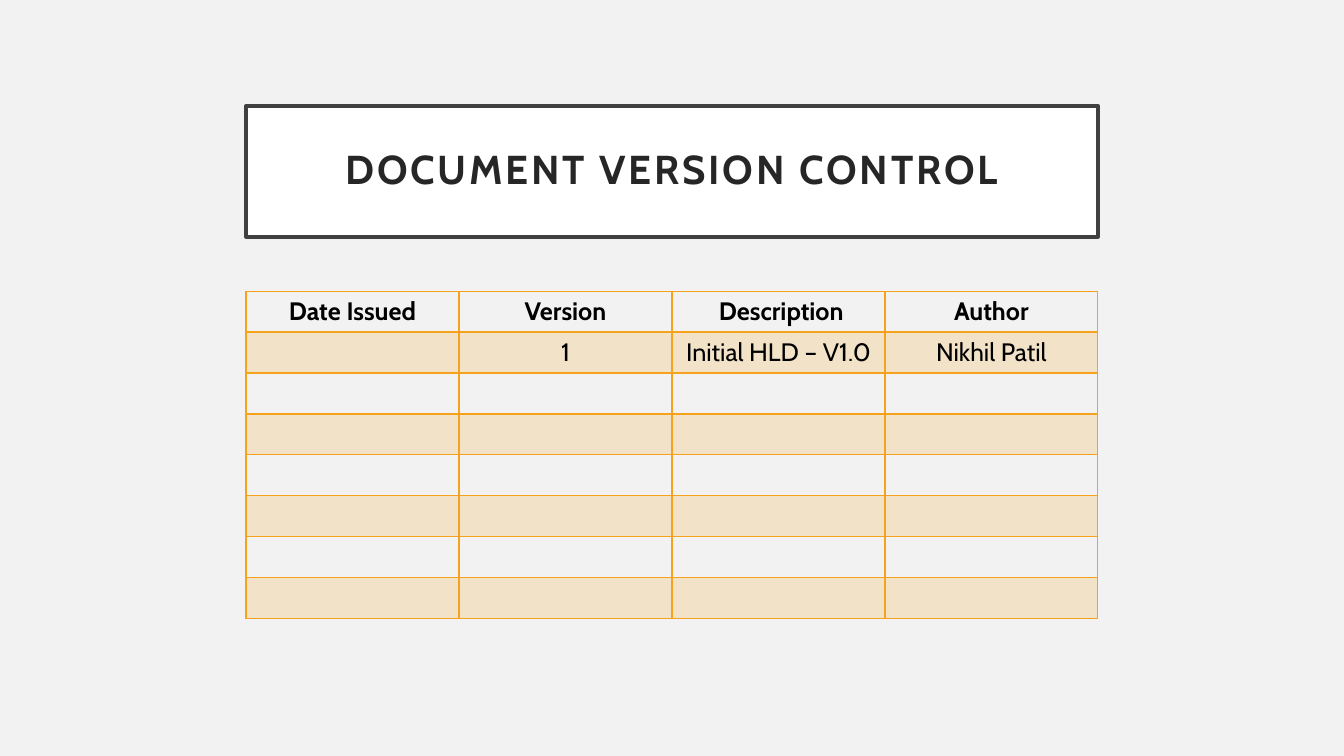
"""Build the document version control slide."""
from lxml.etree import SubElement
from pptx import Presentation
from pptx.dml.color import RGBColor
from pptx.enum.text import MSO_ANCHOR, PP_ALIGN
from pptx.oxml.ns import qn
from pptx.util import Inches, Pt

FONT = "Cabin"
PAPER = RGBColor(0xF2, 0xF2, 0xF2)
WHITE = RGBColor(0xFF, 0xFF, 0xFF)
FRAME = RGBColor(0x40, 0x40, 0x40)
INK = RGBColor(0x26, 0x26, 0x26)
BLACK = RGBColor(0x00, 0x00, 0x00)
AMBER = RGBColor(0xF6, 0xA2, 0x1D)

HEADS = ["Date Issued", "Version", " Description", "Author"]
ENTRY = ["", "1", "Initial HLD – V1.0", "Nikhil Patil"]
ROWS = 8
TEXTS = [HEADS, ENTRY] + [[""] * len(HEADS)] * (ROWS - 2)


def style(para, size, color, bold):
    para.alignment = PP_ALIGN.CENTER
    font = para.font
    font.name, font.size, font.bold = FONT, Pt(size), bold
    font.color.rgb = color


def border(cell, side, width):
    props = cell._tc.get_or_add_tcPr()
    line = SubElement(props, qn(f"a:ln{side}"), w=str(Pt(width)))
    fill = SubElement(line, qn("a:solidFill"))
    SubElement(fill, qn("a:srgbClr"), val=str(AMBER))


deck = Presentation()
deck.slide_width, deck.slide_height = Inches(13.33), Inches(7.5)
slide = deck.slides.add_slide(deck.slide_layouts[5])
slide.background.fill.solid()
slide.background.fill.fore_color.rgb = PAPER

title = slide.shapes.title
title.left, title.top = Inches(2.44), Inches(1.05)
title.width, title.height = Inches(8.45), Inches(1.3)
title.fill.solid()
title.fill.fore_color.rgb = WHITE
title.line.color.rgb = FRAME
title.line.width = Pt(2.5)
frame = title.text_frame
frame.text = "DOCUMENT VERSION CONTROL"
frame.word_wrap = True
frame.vertical_anchor = MSO_ANCHOR.MIDDLE
frame.margin_left = frame.margin_right = Inches(0.2)
frame.margin_top = frame.margin_bottom = Inches(0.2)
head = frame.paragraphs[0]
style(head, 28.8, INK, True)
head.line_spacing = 0.9
head.runs[0]._r.get_or_add_rPr().set("spc", "200")

table = slide.shapes.add_table(
    ROWS, len(HEADS), Inches(2.44), Inches(2.89), Inches(8.45), Inches(3.24)
).table
for row, texts in enumerate(TEXTS):
    for col, text in enumerate(texts):
        cell = table.cell(row, col)
        cell.text = text
        cell.margin_left = cell.margin_right = Inches(0.09)
        cell.margin_top = cell.margin_bottom = Inches(0.05)
        style(cell.text_frame.paragraphs[0], 18, BLACK, row == 0)
        for side in "LRTB":
            thick = (row, side) in [(0, "B"), (1, "T")]
            border(cell, side, 2 if thick else 1)
        if row % 2:
            cell.fill.solid()
            cell.fill.fore_color.rgb = AMBER
            tint = cell._tc.tcPr.find(qn("a:solidFill"))[0]
            SubElement(tint, qn("a:alpha"), val="20000")
        else:
            cell.fill.background()

deck.save("out.pptx")
